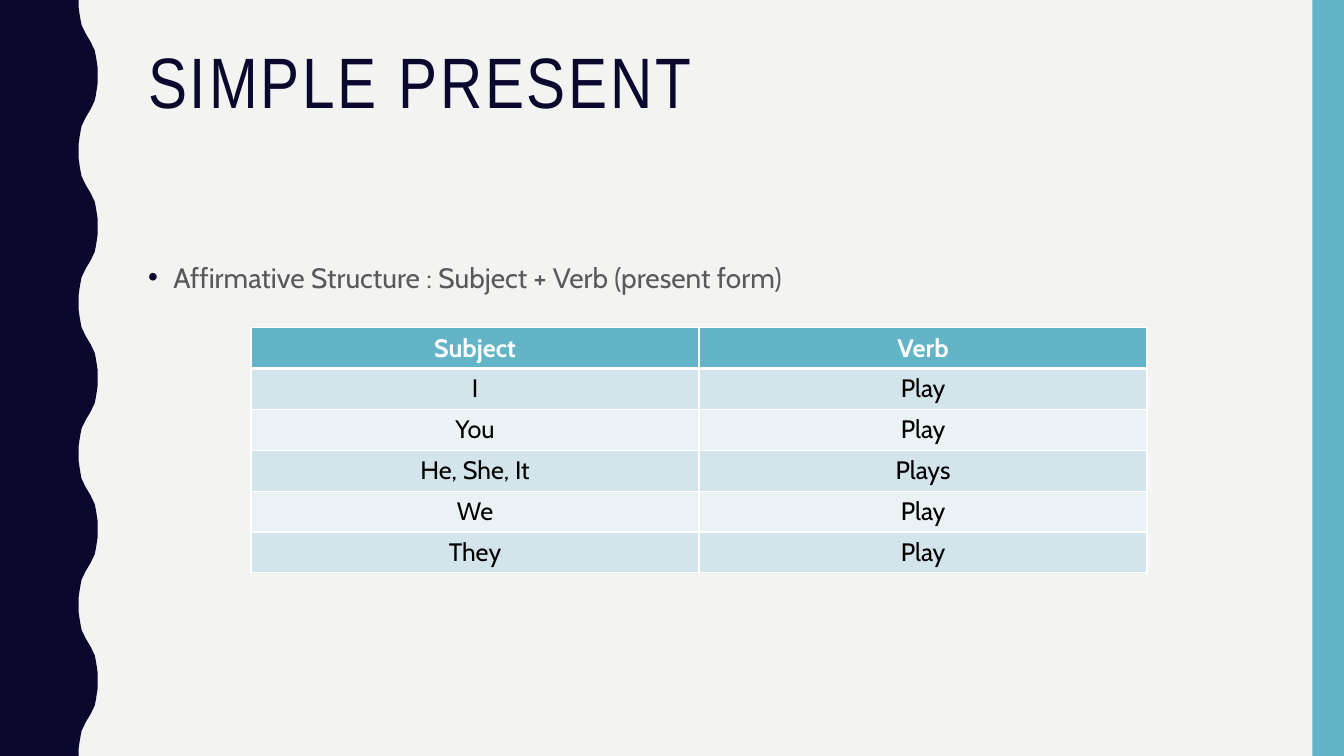
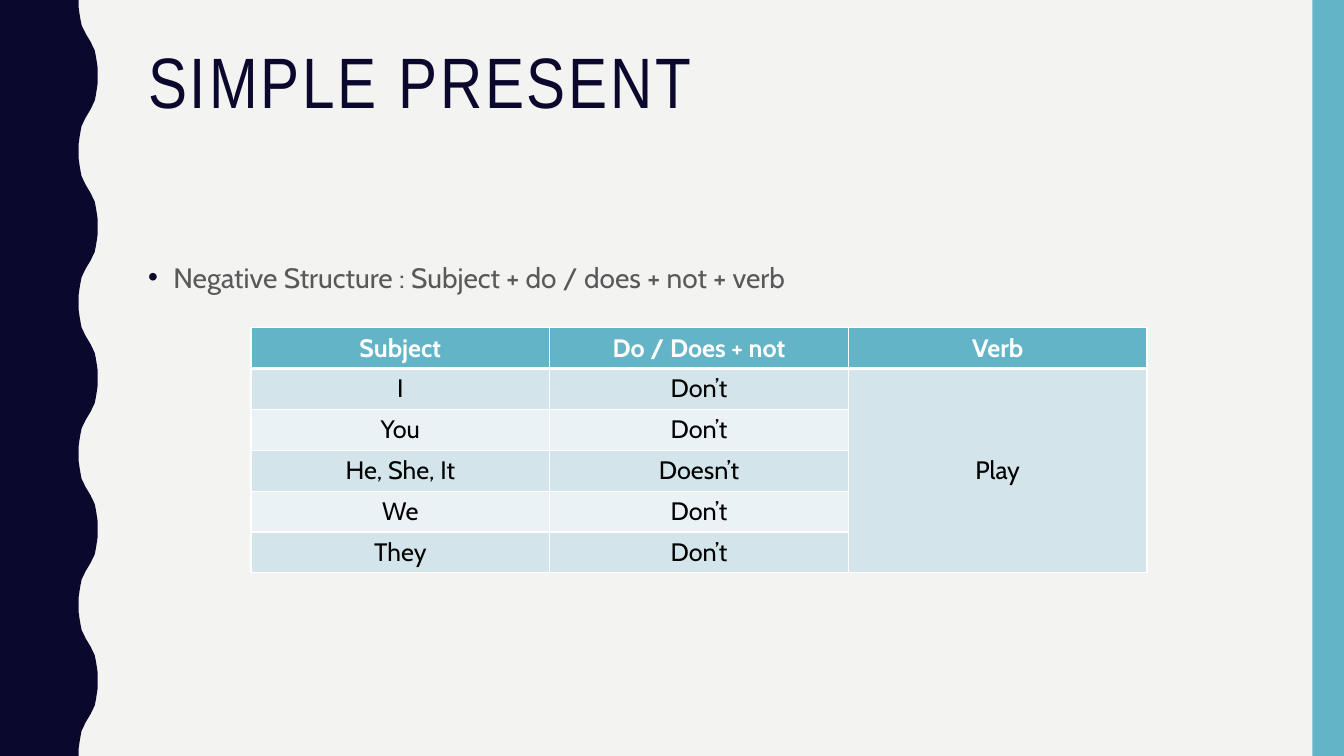
import dataclasses

import pptx
import pptx.dml.color
import pptx.enum.shapes
import pptx.enum.text
import pptx.oxml
import pptx.oxml.ns
import pptx.util

COLS, ROWS = 160, 90
UNIT = 76200
ALIGN = pptx.enum.text.PP_ALIGN
ANCHOR = pptx.enum.text.MSO_ANCHOR


@dataclasses.dataclass(frozen=True)
class Theme:
    paper: str = "F3F3F2"
    navy: str = "0B082E"
    teal: str = "62B4C6"
    gray: str = "595959"
    white: str = "FFFFFF"
    black: str = "000000"
    bands: tuple = ("D3E5EA", "EAF2F5")
    head: str = "Arial Narrow"
    font: str = "Cabin"
    title: int = 51
    body: int = 20
    cell: int = 18
    thin: int = 1
    thick: int = 3


THEME = Theme()
TITLE = (16.44, 5, 133.56, 19.56)
BODY = (16.44, 30, 133.56, 47.16)
GRID = (29.88, 39, 106.68, 29.2)
EDGE = (156.25, 0, 3.75, ROWS)
WAVES = 5
CURVE = ((9.36, 0), (9.36, 0.84), (9.48, 1.68), (9.6, 2.4),
         (9.72, 3), (9.96, 3.5), (10.2, 4))


def emu(box):
    return [round(part * UNIT) for part in box]


def paint(fill, color):
    fill.solid()
    fill.fore_color.rgb = pptx.dml.color.RGBColor.from_string(color)


def node(tag, inner="", **attrs):
    pairs = "".join(f' {key}="{val}"' for key, val in attrs.items())
    space = pptx.oxml.ns.nsdecls("a")
    return pptx.oxml.parse_xml(f"<a:{tag} {space}{pairs}>{inner}</a:{tag}>")


def tint(color):
    return f'<a:solidFill><a:srgbClr val="{color}"/></a:solidFill>'


def write(frame, text, font=THEME.font, size=THEME.cell, color=THEME.black,
          bold=False, align=ALIGN.LEFT, line=None, before=None, track=None, dot=None):
    para = frame.paragraphs[0]
    para.alignment = align
    if line:
        para.line_spacing = line
    if before is not None:
        para.space_before = pptx.util.Pt(before)
    if dot:
        props = para._p.get_or_add_pPr()
        props.set("marL", str(3 * UNIT))
        props.set("indent", str(-3 * UNIT))
        props.append(node("buClr", f'<a:srgbClr val="{dot}"/>'))
        props.append(node("buFont", typeface="Arial"))
        props.append(node("buChar", char="•"))
    run = para.add_run()
    run.text = text
    run.font.name = font
    run.font.size = pptx.util.Pt(size)
    run.font.bold = bold
    run.font.color.rgb = pptx.dml.color.RGBColor.from_string(color)
    if track:
        run.font._element.set("spc", str(track * 100))


def place(holder, box, text, **style):
    holder.left, holder.top, holder.width, holder.height = emu(box)
    frame = holder.text_frame
    frame.word_wrap = True
    frame.auto_size = pptx.enum.text.MSO_AUTO_SIZE.NONE
    frame.vertical_anchor = ANCHOR.TOP
    write(frame, text, **style)


def wave(slide):
    half = CURVE + tuple((21 - x, 9 - y) for x, y in reversed(CURVE))
    cycle = half + tuple((x, 18 - y) for x, y in reversed(half[:-1]))
    step = ROWS / WAVES
    points = [emu((x, y + turn * step)) for turn in range(WAVES) for x, y in cycle]
    path = slide.shapes.build_freeform(0, 0)
    path.add_line_segments(points + [(0, ROWS * UNIT)], close=True)
    return path.convert_to_shape()


def frame_deck(deck, slide):
    master = deck.slide_master
    paint(master.background.fill, THEME.paper)
    edge = slide.shapes.add_shape(pptx.enum.shapes.MSO_SHAPE.RECTANGLE, *emu(EDGE))
    for index, (shape, color) in enumerate(((wave(slide), THEME.navy), (edge, THEME.teal))):
        paint(shape.fill, color)
        shape.line.fill.background()
        shape.shadow.inherit = False
        shape.element.xpath(".//p:cNvPr")[0].set("id", str(20 + index))
        master.shapes.element.insert(2 + index, shape.element)


def border(cell, row):
    props = cell._tc.get_or_add_tcPr()
    sides = {"lnL": THEME.thin, "lnR": THEME.thin,
             "lnT": THEME.thick if row == 1 else THEME.thin,
             "lnB": THEME.thick if row == 0 else THEME.thin}
    for side, width in sides.items():
        props.append(node(side, tint(THEME.white), w=width * 12700))


def chart_verbs(slide, box, data):
    left, top, width, height = emu(box)
    count = len(data[0])
    table = slide.shapes.add_table(len(data), count, left, top, width, height).table
    for col in table.columns:
        col.width = round(width / count)
    for row, words in enumerate(data):
        table.rows[row].height = round(height / len(data))
        head = row == 0
        for col, word in enumerate(words):
            cell = table.cell(row, col)
            border(cell, row)
            paint(cell.fill, THEME.teal if head else THEME.bands[(row - 1) % 2])
            if word:
                write(cell.text_frame, word, bold=head, align=ALIGN.CENTER,
                      color=THEME.white if head else THEME.black)
    if None in data[-1]:
        col = data[-1].index(None)
        table.cell(1, col).merge(table.cell(len(data) - 1, col))
        table.cell(1, col).vertical_anchor = ANCHOR.MIDDLE


def lesson(slide, rule, data):
    title, body = slide.placeholders
    place(title, TITLE, "SIMPLE PRESENT", font=THEME.head, size=THEME.title,
          color=THEME.navy, line=0.9, track=2)
    place(body, BODY, rule, size=THEME.body, color=THEME.gray, line=1.1,
          before=7, dot=THEME.navy)
    chart_verbs(slide, GRID, data)


def main():
    deck = pptx.Presentation()
    deck.slide_width, deck.slide_height = emu((COLS, ROWS))
    names = ("I", "You", "He, She, It", "We", "They")
    verbs = ("Play", "Play", "Plays", "Play", "Play")
    nots = ("Don’t", "Don’t", "Doesn’t", "Don’t", "Don’t")
    shared = ("Play", None, None, None, None)
    lessons = (
        ("Affirmative Structure : Subject + Verb (present form)",
         [("Subject", "Verb"), *zip(names, verbs)]),
        ("Negative Structure : Subject + do / does + not + verb",
         [("Subject", "Do / Does + not", "Verb"), *zip(names, nots, shared)]),
    )
    for rule, data in lessons:
        lesson(deck.slides.add_slide(deck.slide_layouts[1]), rule, data)
    frame_deck(deck, deck.slides[0])
    deck.save("out.pptx")


if __name__ == "__main__":
    main()
